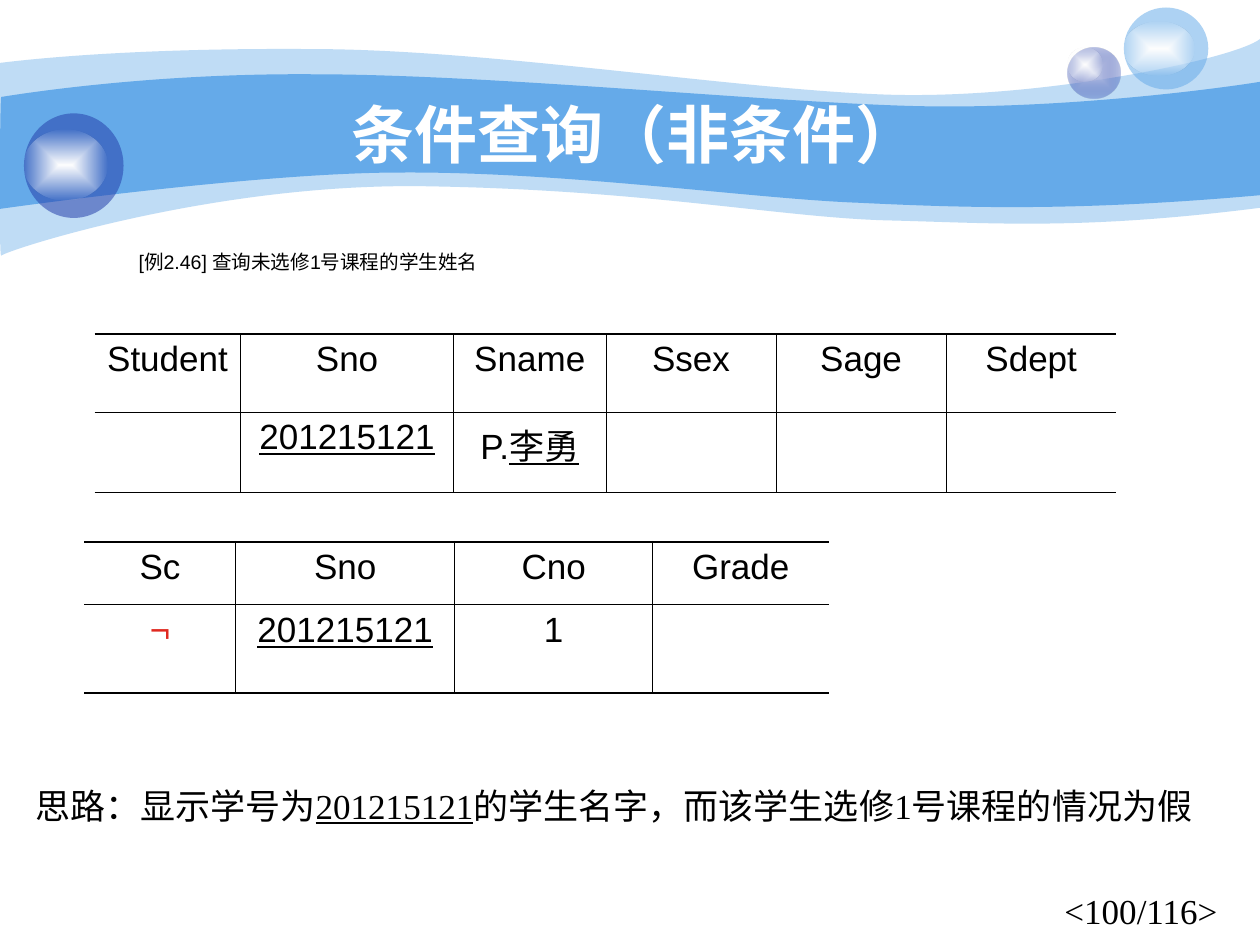
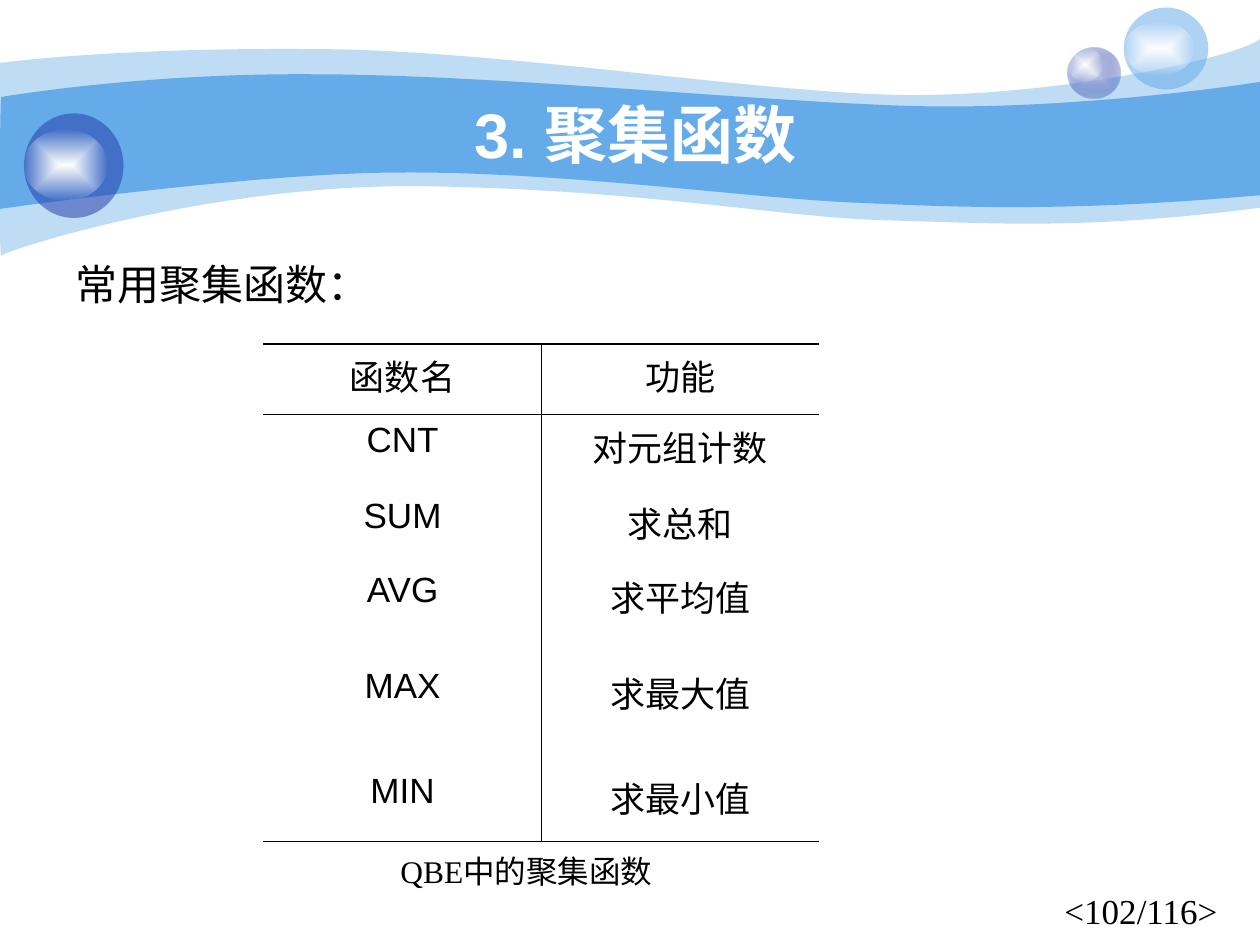
from dataclasses import dataclass

from pptx import Presentation
from pptx.dml.color import RGBColor
from pptx.enum.shapes import MSO_SHAPE
from pptx.enum.text import MSO_ANCHOR, PP_ALIGN
from pptx.oxml import parse_xml
from pptx.oxml.ns import nsdecls, qn
from pptx.util import Inches, Pt


@dataclass(frozen=True)
class Theme:
    sky: str = "65AAE9"
    navy: str = "233DA9"
    lilac: str = "C7CEE9"
    white: str = "FFFFFF"
    black: str = "000000"
    red: str = "E02920"
    sans: str = "Arial"
    serif: str = "Times New Roman"
    title_size: float = 36
    lead_size: float = 24
    text_size: float = 20
    caption_size: float = 18
    example_size: float = 11.2
    thin_rule: float = 0.45
    heavy_rule: float = 1.08
    plain_table: str = "{2D5ABB26-0587-4C30-8999-92F81FD0307C}"


THEME = Theme()


@dataclass(frozen=True)
class Box:
    left: float
    top: float
    width: float
    height: float

    def inside(self, left, top, width, height):
        return Box(self.left + left, self.top + top, width, height)

    def lengths(self):
        return [Inches(n) for n in (self.left, self.top, self.width, self.height)]


@dataclass(frozen=True)
class Span:
    text: str
    underline: bool = False
    color: str = ""


PAGE = Box(0, 0, 10, 7.5)
PAGE_TOTAL = 116

# Each wave: start point, then cubic curves (six numbers) and straight lines (two).
PALE_WAVE = [
    (0, 0.5), (0.24, 0.47, 1.07, 0.38, 2.47, 0.39),
    (3.86, 0.39, 5.75, 0.7, 6.99, 0.75), (8.22, 0.8, 9.8, 0.47, 10, 0.31),
    (10, 1.65), (8.58, 1.83, 7.87, 1.77, 7.05, 1.75),
    (6.22, 1.73, 5.15, 1.51, 3.43, 1.48), (1.72, 1.44, 0.04, 1.99, 0.01, 2.03),
    (-0.01, 2.08, 0, 0.75, 0, 0.5),
]
DEEP_WAVE = [
    (0.01, 0.77), (0.02, 0.77, 1.1, 0.58, 2.48, 0.59),
    (3.86, 0.59, 5.95, 0.8, 7.18, 0.84), (8.41, 0.88, 9.76, 0.69, 10, 0.65),
    (10, 1.55), (8.53, 1.68, 7.65, 1.65, 6.82, 1.61),
    (5.99, 1.58, 4.47, 1.36, 3.17, 1.37), (2.03, 1.37, -0.02, 1.66, -0.01, 1.66),
    (0, 1.66, 0, 0.77, 0.01, 0.77),
]
GLARE = [(THEME.white, 100), (THEME.white, 0)]


def color_xml(color, opacity):
    return f'<a:srgbClr val="{color}"><a:alpha val="{opacity * 1000}"/></a:srgbClr>'


def paint(shape, *stops):
    """Fill with one (colour, opacity) stop, or a gradient from centre to edge with two."""
    shape.shadow.inherit = False
    shape.line.fill.background()
    shape.fill.background()
    if len(stops) == 1:
        fill = f'<a:solidFill {nsdecls("a")}>{color_xml(*stops[0])}</a:solidFill>'
    else:
        marks = "".join(
            f'<a:gs pos="{position}">{color_xml(*stop)}</a:gs>'
            for position, stop in zip((0, 100000), stops))
        fill = (f'<a:gradFill {nsdecls("a")}><a:gsLst>{marks}</a:gsLst><a:path path="rect">'
                '<a:fillToRect l="50000" t="50000" r="50000" b="50000"/></a:path></a:gradFill>')
    properties = shape._element.spPr
    properties.replace(properties.find(qn("a:noFill")), parse_xml(fill))


def bend(shape, outline):
    """Turn each three straight lines that stand for a curve into one cubic curve."""
    lines = iter(list(shape._element.iter(qn("a:lnTo"))))
    for segment in outline[1:]:
        parts = [next(lines) for _ in range(len(segment) // 2)]
        if len(parts) == 3:
            curve = parse_xml(f'<a:cubicBezTo {nsdecls("a")}/>')
            parts[0].addprevious(curve)
            for line in parts:
                curve.append(line[0])
                line.getparent().remove(line)


def add_wave(slide, box, outline, opacity):
    points = [(Inches(box.left + x), Inches(box.top + y))
              for segment in outline for x, y in zip(segment[::2], segment[1::2])]
    builder = slide.shapes.build_freeform(*points[0], scale=1.0)
    builder.add_line_segments(points[1:], close=False)
    wave = builder.convert_to_shape()
    bend(wave, outline)
    paint(wave, (THEME.sky, opacity))


def add_ball(slide, box, stops, glare):
    """Draw a ball with a glare, given as (drop, width, height), at its left edge."""
    drop, width, height = glare
    for part, fill in ((box, stops), (box.inside(0, drop, width, height), GLARE)):
        paint(slide.shapes.add_shape(MSO_SHAPE.OVAL, *part.lengths()), *fill)


def write(paragraph, content, size, font=THEME.sans, color=THEME.black, bold=False):
    """Write a string or a list of strings and spans into the paragraph."""
    paragraph.font.size = Pt(size)
    paragraph.font.name = font
    paragraph.font.bold = bold
    paragraph.font.color.rgb = RGBColor.from_string(color)
    for part in content if isinstance(content, list) else [content]:
        span = part if isinstance(part, Span) else Span(part)
        run = paragraph.add_run()
        run.text = span.text
        if span.underline:
            run.font.underline = True
        if span.color:
            run.font.color.rgb = RGBColor.from_string(span.color)


def add_text(slide, box, content, size, wrap=True, anchor=MSO_ANCHOR.TOP, indent=0.1,
             align=PP_ALIGN.LEFT, spacing=None, **style):
    frame = slide.shapes.add_textbox(*box.lengths()).text_frame
    frame.word_wrap = wrap
    frame.vertical_anchor = anchor
    frame.margin_left = Inches(indent)
    paragraph = frame.paragraphs[0]
    paragraph.alignment = align
    paragraph.line_spacing = spacing
    write(paragraph, content, size, **style)


def rule_cell(cell, **widths):
    """Draw cell borders; widths are named by side, and sides without one stay bare."""
    properties = cell._tc.get_or_add_tcPr()
    for side in "LRTB":
        width = widths.get(side) or 0
        paint_xml = (f'<a:solidFill><a:srgbClr val="{THEME.black}"/></a:solidFill>'
                     if width else '<a:noFill/>')
        properties.append(parse_xml(
            f'<a:ln{side} {nsdecls("a")} w="{Pt(width)}">{paint_xml}</a:ln{side}>'))
    cell.fill.background()


def add_ruled_table(slide, left, top, widths, heights, rows):
    """Add an open-sided table: heavy outer rules, thin rules under the head and between columns."""
    box = Box(left, top, sum(widths), sum(heights))
    table = slide.shapes.add_table(len(rows), len(widths), *box.lengths()).table
    table.first_row = table.horz_banding = False
    table._tbl.tblPr.find(qn("a:tableStyleId")).text = THEME.plain_table
    for column, width in zip(table.columns, widths):
        column.width = Inches(width)
    thin, heavy = THEME.thin_rule, THEME.heavy_rule
    last_row, last_column = len(rows) - 1, len(widths) - 1
    for r, (height, row) in enumerate(zip(heights, rows)):
        table.rows[r].height = Inches(height)
        for c, content in enumerate(row):
            cell = table.cell(r, c)
            rule_cell(cell, L=thin if c > 0 else 0, R=thin if c < last_column else 0,
                      T={0: heavy, 1: thin}.get(r), B={0: thin, last_row: heavy}.get(r))
            if content:
                paragraph = cell.text_frame.paragraphs[0]
                paragraph.alignment = PP_ALIGN.CENTER
                write(paragraph, content, THEME.text_size)


def add_banner(slide, box, title):
    add_wave(slide, box, PALE_WAVE, 41)
    add_wave(slide, box, DEEP_WAVE, 100)
    add_ball(slide, box.inside(8.47, 0.38, 0.42, 0.4),
             [(THEME.lilac, 100), (THEME.navy, 31)], (0, 0.28, 0.27))
    add_ball(slide, box.inside(8.92, 0.06, 0.67, 0.65), [(THEME.sky, 53)], (0.11, 0.56, 0.43))
    add_ball(slide, box.inside(0.19, 0.9, 0.79, 0.83), [(THEME.navy, 53)], (0.13, 0.66, 0.56))
    add_text(slide, box.inside(1, 0.75, 8.08, 0.62), title, THEME.title_size,
             anchor=MSO_ANCHOR.MIDDLE, align=PP_ALIGN.CENTER, color=THEME.white, bold=True)


def add_page(presentation, title, number):
    slide = presentation.slides.add_slide(presentation.slide_layouts[6])
    add_banner(slide, PAGE, title)
    add_text(slide, PAGE.inside(8.35, 7.01, 1.53, 0.44), f"<{number}/{PAGE_TOTAL}>",
             THEME.text_size, font=THEME.serif)
    return slide


def add_negation_slide(presentation, box):
    slide = add_page(presentation, "条件查询（非条件）", 100)
    student_number = Span("201215121", underline=True)
    add_text(slide, box.inside(0.5, 2, 8.91, 1.04), "[例2.46] 查询未选修1号课程的学生姓名",
             THEME.example_size, indent=0.6, spacing=0.6)
    add_ruled_table(
        slide, box.left + 0.75, box.top + 2.65, [1.16, 1.69, 1.21] + [1.35] * 3, [0.62, 0.64],
        [["Student", "Sno", "Sname", "Ssex", "Sage", "Sdept"],
         ["", [student_number], ["P.", Span("李勇", underline=True)], "", "", ""]])
    add_text(slide, box.inside(0.18, 6.11, 9.65, 0.5),
             ["思路：显示学号为", student_number, "的学生名字，而该学生选修1号课程的情况为假"],
             THEME.text_size, wrap=False, spacing=1.2, font=THEME.serif)
    add_ruled_table(
        slide, box.left + 0.67, box.top + 4.3, [1.2, 1.74, 1.57, 1.4], [0.5, 0.7],
        [["Sc", "Sno", "Cno", "Grade"],
         [[Span("¬", color=THEME.red)], [student_number], "1", ""]])


def add_aggregate_slide(presentation, box):
    slide = add_page(presentation, "3. 聚集函数", 102)
    add_text(slide, box.inside(0.5, 2, 4.42, 4.92), "常用聚集函数：", THEME.lead_size)
    add_text(slide, box.inside(3.08, 6.71, 2.31, 0.4), "QBE中的聚集函数",
             THEME.caption_size, wrap=False, anchor=MSO_ANCHOR.MIDDLE, font=THEME.serif)
    add_ruled_table(
        slide, box.left + 2.09, box.top + 2.73, [2.21, 2.2],
        [0.56, 0.6, 0.59, 0.76, 0.84, 0.6],
        [["函数名", "功能"], ["CNT", "对元组计数"], ["SUM", "求总和"],
         ["AVG", "求平均值"], ["MAX", "求最大值"], ["MIN", "求最小值"]])


def main():
    presentation = Presentation()
    presentation.slide_width = Inches(PAGE.width)
    presentation.slide_height = Inches(PAGE.height)
    add_negation_slide(presentation, PAGE)
    add_aggregate_slide(presentation, PAGE)
    presentation.save("out.pptx")


if __name__ == "__main__":
    main()
